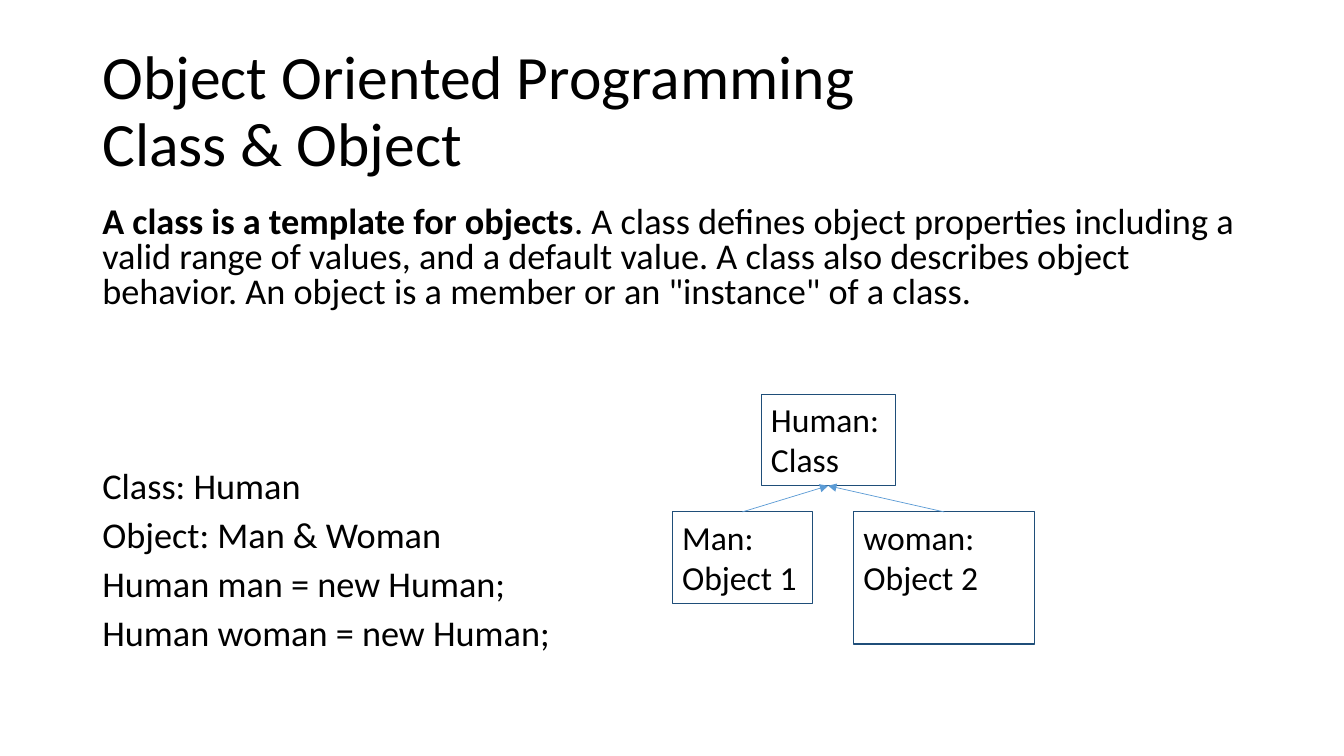
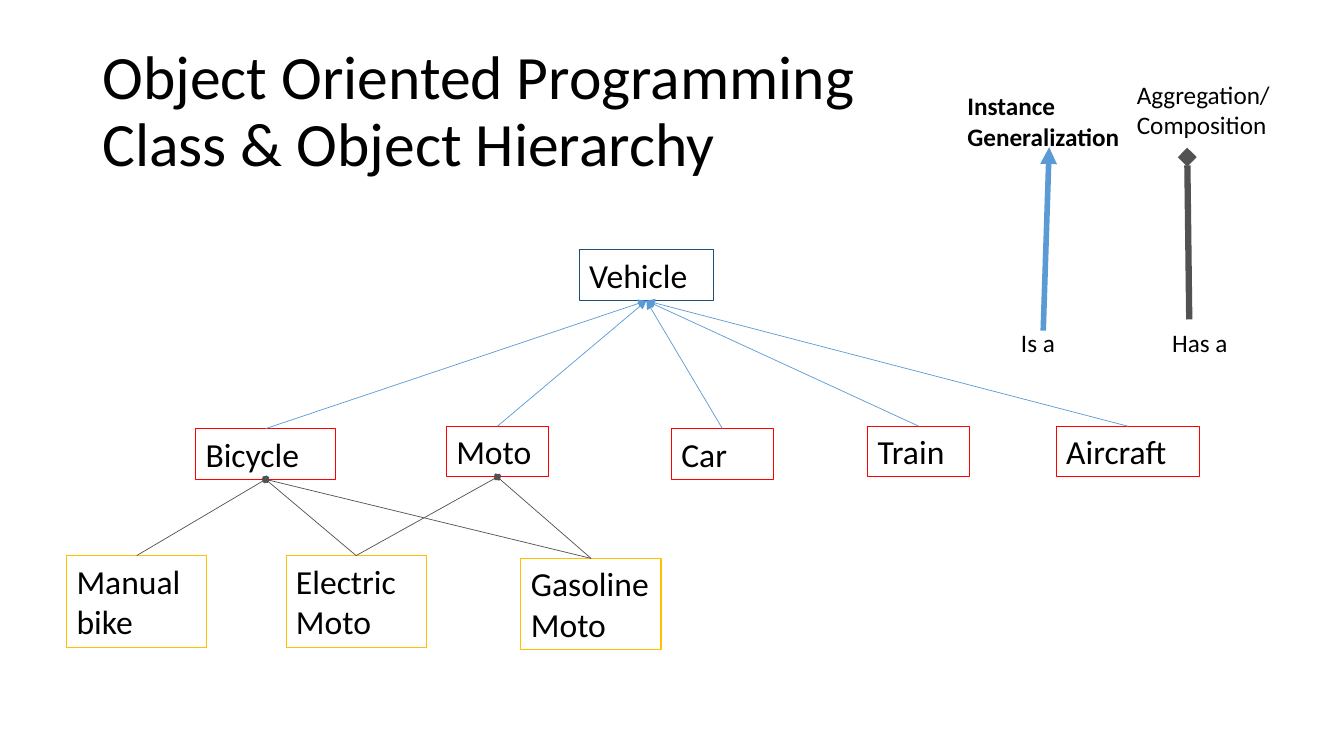
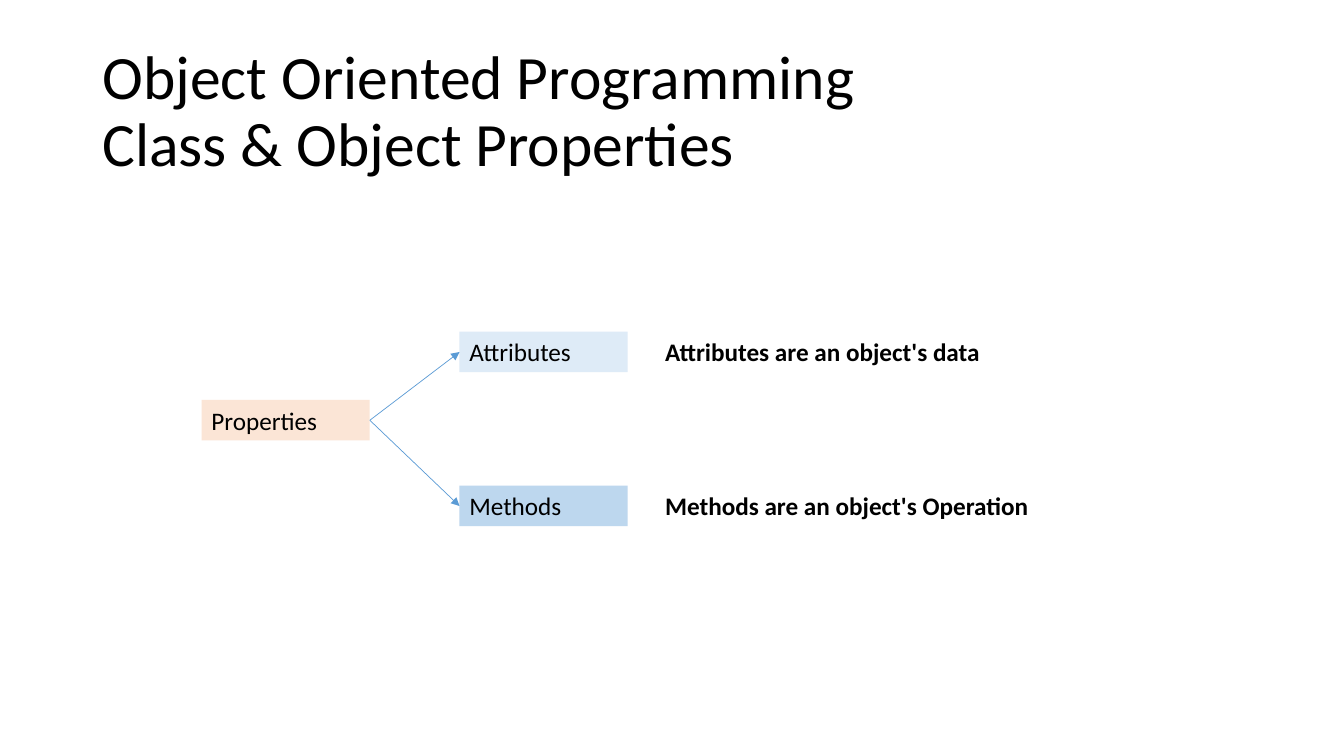
from dataclasses import dataclass

from lxml import etree
from pptx import Presentation
from pptx.dml.color import RGBColor
from pptx.enum.shapes import MSO_CONNECTOR, MSO_SHAPE
from pptx.enum.text import MSO_ANCHOR, PP_ALIGN
from pptx.oxml.ns import qn
from pptx.util import Cm, Pt

RECTANGLE = MSO_SHAPE.RECTANGLE
STRAIGHT = MSO_CONNECTOR.STRAIGHT
LEFT_ALIGN = PP_ALIGN.LEFT
ANCHOR_TOP = MSO_ANCHOR.TOP
ANCHOR_MIDDLE = MSO_ANCHOR.MIDDLE
SITE_TOP, SITE_LEFT, SITE_BOTTOM, SITE_RIGHT = range(4)


@dataclass(frozen=True)
class Theme:
    font: str = "Calibri"
    ink: str = "000000"
    navy: str = "1F4E79"
    blue: str = "5B9BD5"
    gray: str = "525252"
    red: str = "FF0000"
    gold: str = "FFC000"
    peach: str = "FBE5D6"
    pale_blue: str = "DEEBF7"
    light_blue: str = "BDD7EE"
    title_size: float = 44
    body_size: float = 25.9
    box_size: float = 24
    label_size: float = 18
    outline_width: float = 0.75
    link_width: float = 0.5


theme = Theme()
IS_A = (theme.blue, "triangle")
HAS_A = (theme.gray, "diamond")
BODY_FORMAT = {"line_spacing": 0.8, "space_before": Pt(10)}


def add_text(page, area, lines, size, outline=None, fill=None, bold=False,
             wrap=True, anchor=ANCHOR_TOP, paragraph_format=None):
    lengths = [Cm(value) for value in area]
    if outline or fill:
        box = page.shapes.add_shape(RECTANGLE, *lengths)
        box.shadow.inherit = False
    else:
        box = page.shapes.add_textbox(*lengths)
    if fill:
        box.fill.solid()
        box.fill.fore_color.rgb = RGBColor.from_string(fill)
    else:
        box.fill.background()
    if outline:
        box.line.color.rgb = RGBColor.from_string(outline)
        box.line.width = Pt(theme.outline_width)
    else:
        box.line.fill.background()
    frame = box.text_frame
    frame.word_wrap = wrap
    frame.vertical_anchor = anchor
    frame.text = "\n".join(lines)
    for paragraph in frame.paragraphs:
        formats = {"alignment": LEFT_ALIGN, **(paragraph_format or {})}
        for name, value in formats.items():
            setattr(paragraph, name, value)
        for span in paragraph.runs:
            font_format = {"name": theme.font, "size": Pt(size), "bold": bold}
            for name, value in font_format.items():
                setattr(span.font, name, value)
            span.font.color.rgb = RGBColor.from_string(theme.ink)
    return box


def add_link(page, style, ends=(0, 0, 0, 0), width=theme.link_width):
    color, tip = style
    link = page.shapes.add_connector(STRAIGHT, *[Cm(value) for value in ends])
    link.line.color.rgb = RGBColor.from_string(color)
    link.line.width = Pt(width)
    properties = link.element.spPr
    etree.SubElement(properties.find(qn("a:ln")), qn("a:tailEnd"), type=tip)
    etree.SubElement(properties, qn("a:effectLst"))
    return link


deck = Presentation()
deck.slide_width, deck.slide_height = Cm(33.87), Cm(19.05)

pages = []
for topic in ("Class & Object", "Class & Object Hierarchy", "Class & Object Properties"):
    page = deck.slides.add_slide(deck.slide_layouts[6])
    add_text(page, (2.33, 1.01, 29.21, 3.68),
             ["Object Oriented Programming\v" + topic], theme.title_size,
             anchor=ANCHOR_MIDDLE, paragraph_format={"line_spacing": 0.9})
    pages.append(page)
class_page, hierarchy_page, properties_page = pages

definition = add_text(
    class_page, (2.33, 5.08, 29.21, 3.2), ["A class is a template for objects"],
    theme.body_size, bold=True, paragraph_format=BODY_FORMAT)
lead = definition.text_frame.paragraphs[0]
span = lead.add_run()
span.text = (". A class defines object properties including a valid range of values, "
             "and a default value. A class also describes object behavior. "
             'An object is a member or an "instance" of a class.')
span.font.name = theme.font
span.font.size = Pt(theme.body_size)
span.font.color.rgb = RGBColor.from_string(theme.ink)

add_text(class_page, (2.33, 11.76, 14, 5.4),
         ["Class: Human", "Object: Man & Woman",
          "Human man = new Human;", "Human woman = new Human;"],
         theme.body_size, paragraph_format=BODY_FORMAT)

human = add_text(class_page, (19.18, 9.93, 3.38, 2.31), ["Human: Class"],
                 theme.box_size, outline=theme.navy)
for text, left, width, height in (("Man: Object 1", 16.94, 3.53, 2.31),
                                  ("woman: Object 2", 21.51, 4.57, 3.33)):
    instance = add_text(class_page, (left, 12.9, width, height), [text],
                        theme.box_size, outline=theme.navy)
    link = add_link(class_page, IS_A)
    link.begin_connect(instance, SITE_TOP)
    link.end_connect(human, SITE_BOTTOM)

vehicle = add_text(hierarchy_page, (14.6, 6.3, 3.38, 1.28), ["Vehicle"],
                   theme.box_size, outline=theme.navy)
kinds = {}
for name, left, top, width in (("Bicycle", 4.93, 10.8, 3.53), ("Moto", 11.25, 10.74, 2.57),
                               ("Car", 16.92, 10.8, 2.57), ("Train", 21.87, 10.74, 2.57),
                               ("Aircraft", 26.62, 10.74, 3.61)):
    kinds[name] = add_text(hierarchy_page, (left, top, width, 1.28), [name],
                           theme.box_size, outline=theme.red)
    link = add_link(hierarchy_page, IS_A)
    link.begin_connect(kinds[name], SITE_TOP)
    link.end_connect(vehicle, SITE_BOTTOM)

for name, left, top, owners in (("Manual bike", 1.68, 14, ["Bicycle"]),
                                ("Electric Moto", 7.21, 14, ["Bicycle", "Moto"]),
                                ("Gasoline Moto", 13.13, 14.07, ["Bicycle", "Moto"])):
    model = add_text(hierarchy_page, (left, top, 3.53, 2.31), [name],
                     theme.box_size, outline=theme.gold)
    for owner in owners:
        link = add_link(hierarchy_page, HAS_A)
        link.begin_connect(model, SITE_TOP)
        link.end_connect(kinds[owner], SITE_BOTTOM)

add_link(hierarchy_page, HAS_A, (29.97, 8.05, 29.92, 3.96), 4.5)
add_link(hierarchy_page, IS_A, (26.29, 8.33, 26.44, 3.71), 4)
for area, lines, bold in (
        ((24.13, 2.16, 4.37, 1.8), ["Instance", "Generalization"], True),
        ((28.4, 1.88, 3.91, 1.8), ["Aggregation/", "Composition"], False),
        ((25.48, 8.13, 1.37, 1.02), ["Is a"], False),
        ((29.29, 8.13, 1.93, 1.02), ["Has a"], False)):
    add_text(hierarchy_page, area, lines, theme.label_size, bold=bold, wrap=False)

properties_box = add_text(properties_page, (5.08, 10.08, 4.24, 1.02), ["Properties"],
                          theme.label_size, fill=theme.peach)
for name, top, fill, meaning, width in (
        ("Attributes", 8.36, theme.pale_blue, "Attributes are an object's data", 8.53),
        ("Methods", 12.24, theme.light_blue, "Methods are an object's Operation", 9.75)):
    member = add_text(properties_page, (11.58, top, 4.24, 1.02), [name],
                      theme.label_size, fill=fill)
    link = add_link(properties_page, IS_A)
    link.begin_connect(properties_box, SITE_RIGHT)
    link.end_connect(member, SITE_LEFT)
    add_text(properties_page, (16.51, top, width, 1.02), [meaning],
             theme.label_size, bold=True, wrap=False)

deck.save("out.pptx")
